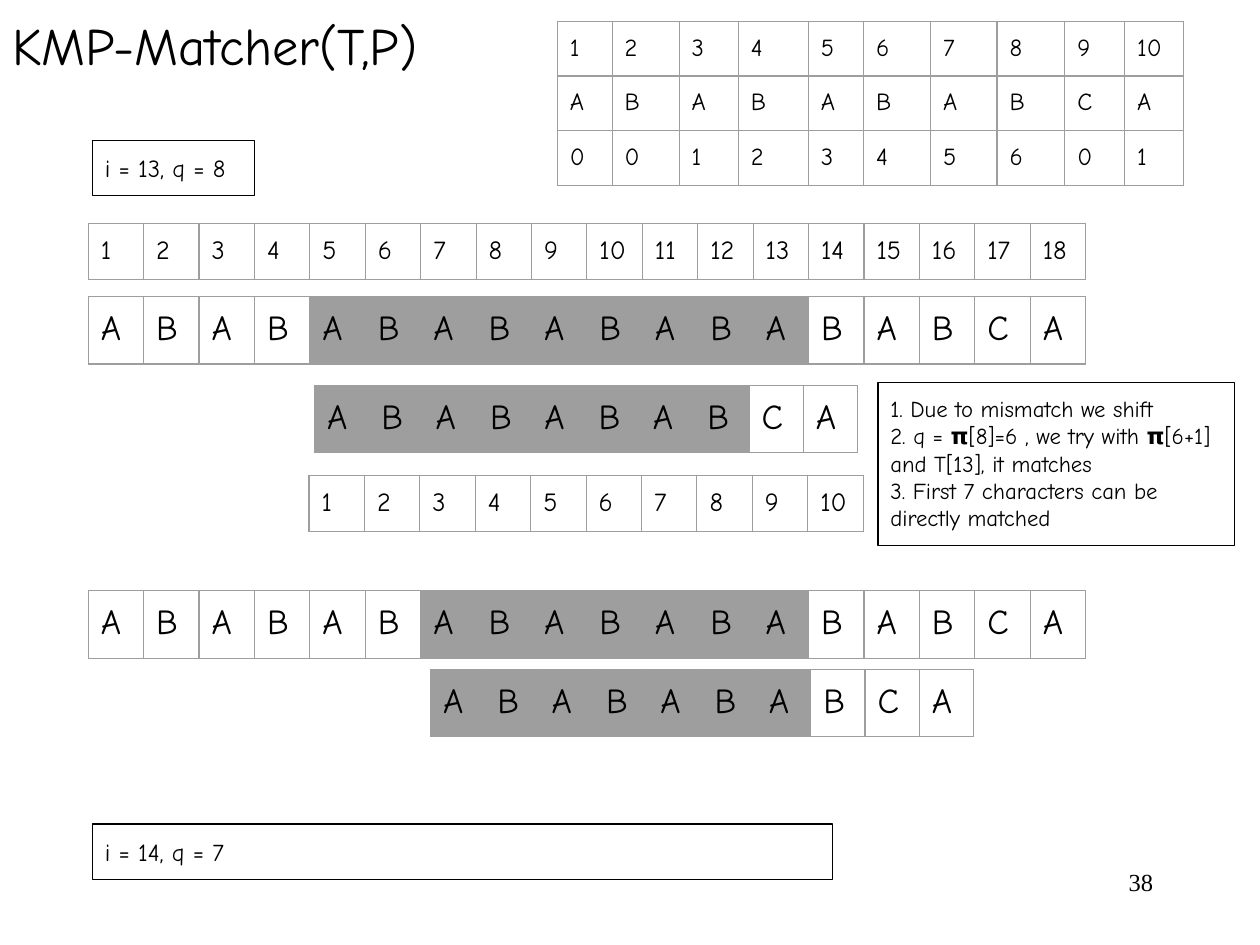
from dataclasses import dataclass

from lxml.etree import SubElement
from pptx import Presentation
from pptx.dml.color import RGBColor
from pptx.enum.shapes import MSO_SHAPE as Shape
from pptx.enum.text import MSO_ANCHOR as Anchor, MSO_AUTO_SIZE as AutoSize, PP_ALIGN as Align
from pptx.oxml.ns import qn
from pptx.util import Pt


def rgb(code):
    return RGBColor.from_string(code)


@dataclass
class Board:
    """Style of the slide and the slide being drawn."""
    s: object
    font: str = "Comic Neue"
    ink: str = "000000"
    paper: str = "FFFFFF"
    grey: str = "9E9E9E"
    inset: float = 7.2
    border: float = 0.75
    row_height: float = 30
    frame_size: float = 236.2

    def style(self, p, size, font=None):
        for r in p.runs:
            r.font.size = Pt(size)
            r.font.name = font or self.font
            r.font.color.rgb = rgb(self.ink)

    def fill_frame(self, tf, text, size, font=None, align=Align.LEFT, inset_y=None):
        tf.text = text
        tf.word_wrap = True
        tf.vertical_anchor = Anchor.TOP
        tf.margin_left = tf.margin_right = Pt(self.inset)
        tf.margin_top = tf.margin_bottom = Pt(self.inset if inset_y is None else inset_y)
        for p in tf.paragraphs:
            p.alignment = align
            self.style(p, size, font)

    def label(self, x, y, w, h, text, size, **options):
        sp = self.s.shapes.add_textbox(Pt(x), Pt(y), Pt(w), Pt(h))
        self.fill_frame(sp.text_frame, text, size, **options)

    def box(self, x, y, w, h, text, size):
        """Outlined rectangle that grows with its text."""
        sp = self.s.shapes.add_shape(Shape.RECTANGLE, Pt(x), Pt(y), Pt(w), Pt(h))
        sp.shadow.inherit = False
        sp.fill.background()
        sp.line.color.rgb = rgb(self.ink)
        sp.line.width = Pt(self.border)
        self.fill_frame(sp.text_frame, text, size)
        sp.text_frame.auto_size = AutoSize.SHAPE_TO_FIT_TEXT

    def outline_cell(self, cell):
        tc_pr = cell._tc.get_or_add_tcPr()
        for side in ("a:lnL", "a:lnR", "a:lnT", "a:lnB"):
            ln = SubElement(tc_pr, qn(side), w=str(Pt(self.border)))
            SubElement(SubElement(ln, qn("a:solidFill")), qn("a:srgbClr"), val=self.grey)

    def fill_cell(self, cell, color):
        if color:
            cell.fill.solid()
            cell.fill.fore_color.rgb = rgb(color)
        else:
            cell.fill.background()

    def table(self, x, y, widths, rows, size, shaded=(), white=()):
        """Grid of cells; shaded and white hold the indexes of the filled columns."""
        fills = {j: self.paper for j in white} | {j: self.grey for j in shaded}
        frame = self.s.shapes.add_table(len(rows), len(widths), Pt(x), Pt(y),
                                        Pt(self.frame_size), Pt(self.frame_size))
        table = frame.table
        table.first_row = table.horz_banding = False
        for column, width in zip(table.columns, widths):
            column.width = Pt(width)
        for i, values in enumerate(rows):
            table.rows[i].height = Pt(self.row_height)
            for j, value in enumerate(values):
                cell = table.cell(i, j)
                cell.margin_left = cell.margin_right = Pt(self.inset)
                cell.margin_top = cell.margin_bottom = Pt(self.inset)
                cell.text = str(value)
                self.style(cell.text_frame.paragraphs[0], size)
                self.outline_cell(cell)
                self.fill_cell(cell, fills.get(j))
        frame.width = frame.height = Pt(self.frame_size)


TEXT = "AB" * 8 + "CA"
PATTERN = "AB" * 4 + "CA"
PREFIX = [0, 0, 1, 2, 3, 4, 5, 6, 0, 1]
TEXT_COLUMNS = [31.67] * len(TEXT)
PATTERN_COLUMNS = [31.06] * len(PATTERN)
PREFIX_COLUMNS = [31.4, 38.3, 33.8, 40, 31.6, 38.3, 38, 38.7, 34.2, 33.7]
TEXT_X = 50.4


def main():
    prs = Presentation()
    prs.slide_width, prs.slide_height = Pt(720), Pt(540)
    b = Board(prs.slides.add_slide(prs.slide_layouts[6]))
    text_index = range(1, len(TEXT) + 1)
    pattern_index = range(1, len(PATTERN) + 1)

    b.label(516, 491.8, 150, 36, "38", 14, font="Times New Roman",
            align=Align.RIGHT, inset_y=3.6)
    b.table(TEXT_X, 169.6, TEXT_COLUMNS, [TEXT], 20, shaded=range(4, 13), white=range(4))
    b.label(0, 0, 286.6, 51, "KMP-Matcher(T,P)", 30)
    b.box(52.8, 80.2, 92.7, 31.6, "i = 13, q = 8", 14)
    b.box(52.8, 470.8, 422.8, 31.6, "i = 14, q = 7", 14)

    b.table(TEXT_X, 127.5, TEXT_COLUMNS, [text_index], 15, white=[0])
    b.table(176.6, 271.5, TEXT_COLUMNS[:len(PATTERN)], [pattern_index], 15)
    b.table(318.4, 12.2, PREFIX_COLUMNS, [pattern_index, PATTERN, PREFIX], 14)
    b.box(501.7, 218.4, 203.9, 93.5,
          "1. Due to mismatch we shift\n"
          "2. q = 𝝿[8]=6 , we try with 𝝿[6+1] and T[13], it matches\n"
          "3. First 7 characters can be directly matched", 13)

    b.table(TEXT_X, 337.6, TEXT_COLUMNS, [TEXT], 20, shaded=range(6, 13), white=range(4))
    b.table(246, 382.5, PATTERN_COLUMNS, [PATTERN], 20, shaded=range(7))
    b.table(179.7, 220.3, PATTERN_COLUMNS, [PATTERN], 20, shaded=range(8))

    prs.save("out.pptx")


if __name__ == "__main__":
    main()
